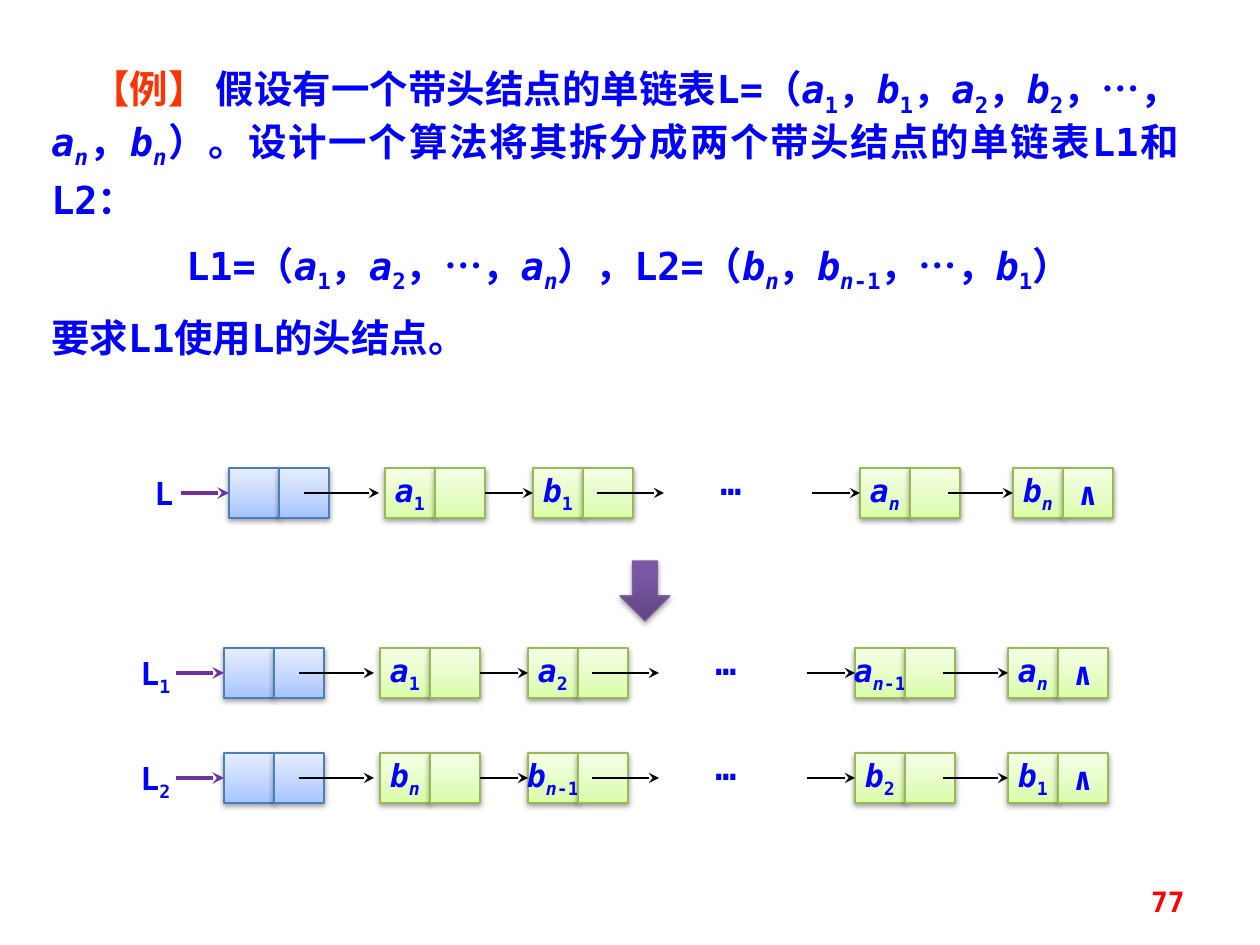
"""Build the slide on splitting a linked list L into L1 and L2."""
from itertools import groupby

from lxml import etree
from pptx import Presentation
from pptx import util as u
from pptx.dml.color import RGBColor
from pptx.enum import lang, shapes, text
from pptx.oxml.ns import nsdecls, qn
from pptx.oxml import parse_xml

EMU_PER_PX = 914400 / 126
BLUE = RGBColor(0x00, 0x00, 0xFF)
RED = RGBColor(0xFF, 0x00, 0x00)
ORANGE = RGBColor(0xFF, 0x33, 0x00)
BLACK = RGBColor(0x00, 0x00, 0x00)
PURPLE = RGBColor(0x70, 0x30, 0xA0)
HEAD_LINE = RGBColor(0x4B, 0x7E, 0xBC)
NODE_LINE = RGBColor(0x98, 0xB9, 0x55)
DOWN_LINE = RGBColor(0x7D, 0x60, 0xA0)
HEAD_STOPS = ((0, "A4C4FF"), (35, "BFD4FF"), (100, "E6EEFF"))
NODE_STOPS = ((0, "DAFDA7"), (35, "E4FCC2"), (100, "F5FFE7"))
DOWN_STOPS = ((0, "5F4480"), (80, "7B58A6"), (100, "7C57A8"))
CELL = 50
NODE_OFFSETS = (156, 304, 631, 784)


def px(length):
    return u.Emu(round(length * EMU_PER_PX))


class ListSlide:
    """Hold the slide and the style of its text, cells and arrows."""

    font_name = "DejaVu Sans Mono"

    def __init__(self, prs):
        self.slide = prs.slides.add_slide(prs.slide_layouts[6])
        self.shapes = self.slide.shapes

    def add_run(self, paragraph, words, size, color, italic=False, sub=False):
        run = paragraph.add_run()
        run.text = words
        font = run.font
        font.name, font.size, font.bold = self.font_name, u.Pt(size), True
        font.italic = italic
        font.color.rgb = color
        font.language_id = lang.MSO_LANGUAGE_ID.SIMPLIFIED_CHINESE
        if sub:
            run._r.get_or_add_rPr().set("baseline", "-25000")

    def add_marked(self, paragraph, marked, size, color=BLUE):
        """Add text in which |a1| marks a variable with its subscript."""
        for i, part in enumerate(marked.split("|")):
            if i % 2 == 0:
                if part:
                    self.add_run(paragraph, part, size, color)
                continue
            self.add_run(paragraph, part[0], size, color, part[0].islower())
            for italic, chars in groupby(part[1:], str.islower):
                self.add_run(paragraph, "".join(chars), size, color, italic, True)

    def box(self, x, y, w, h):
        frame = self.shapes.add_textbox(px(x), px(y), px(w), px(h)).text_frame
        frame.word_wrap = True
        return frame

    def label(self, x, y, w, h, marked, size):
        self.add_marked(self.box(x, y, w, h).paragraphs[0], marked, size)

    def block(self, kind, x, y, w, h, stops, line, alpha=38):
        shape = self.shapes.add_shape(kind, px(x), px(y), px(w), px(h))
        shape.line.color.rgb = line
        shape.line.width = u.Pt(0.75)
        shape.shadow.inherit = False
        marks = "".join(f'<a:gs pos="{pos * 1000}"><a:srgbClr val="{color}"/></a:gs>'
                        for pos, color in stops)
        properties = shape._element.spPr
        properties.find(qn("a:prstGeom")).addnext(parse_xml(
            f'<a:gradFill {nsdecls("a")}><a:gsLst>{marks}</a:gsLst>'
            '<a:lin ang="16200000" scaled="0"/></a:gradFill>'))
        properties.find(qn("a:effectLst")).append(parse_xml(
            f'<a:outerShdw {nsdecls("a")} blurRad="40000" dist="20000" dir="5400000" '
            f'rotWithShape="0"><a:srgbClr val="000000"><a:alpha val="{alpha * 1000}"/>'
            '</a:srgbClr></a:outerShdw>'))
        return shape

    def node(self, x, y, stops, line, *contents):
        cells = []
        for i, marked in enumerate(contents):
            cell = self.block(shapes.MSO_SHAPE.RECTANGLE, x + i * CELL, y,
                              CELL, CELL, stops, line)
            frame = cell.text_frame
            frame.word_wrap = False
            frame.vertical_anchor = text.MSO_ANCHOR.MIDDLE
            frame.paragraphs[0].alignment = text.PP_ALIGN.CENTER
            self.add_marked(frame.paragraphs[0], marked, 18)
            cells.append(cell)
        return cells

    def arrow(self, x1, x2, y, color=BLACK, width=0.75, start=None, end=None):
        link = self.shapes.add_connector(shapes.MSO_CONNECTOR.STRAIGHT,
                                         px(x1), px(y), px(x2), px(y))
        link.line.color.rgb = color
        link.line.width = u.Pt(width)
        etree.SubElement(link.line._get_or_add_ln(), qn("a:tailEnd"), type="stealth")
        etree.SubElement(link._element.spPr, qn("a:effectLst"))
        if start is not None:
            link.begin_connect(start, 3)
        if end is not None:
            link.end_connect(end, 1)

    def linked_list(self, x, y, name, name_x, contents):
        mid = y + CELL // 2
        head = self.node(x, y, HEAD_STOPS, HEAD_LINE, "", "")
        first, second, near_last, last = [
            self.node(x + offset, y, NODE_STOPS, NODE_LINE, marked,
                      "∧" if offset == NODE_OFFSETS[-1] else "")
            for offset, marked in zip(NODE_OFFSETS, contents)]
        self.label(name_x, y, 77, CELL, name, 18)
        self.label(x + 479, y - 14, 100, 63, "…", 20)
        self.arrow(x - 48, x, mid, PURPLE, 2.25, end=head[0])
        self.arrow(x + 75, x + 150, mid)
        self.arrow(x + 256, x + 304, mid, start=first[1], end=second[0])
        self.arrow(x + 368, x + 435, mid)
        self.arrow(x + 583, x + 631, mid, end=near_last[0])
        self.arrow(x + 719, x + 784, mid, end=last[0])

    def problem(self, x, y, w, h, paragraphs):
        frame = self.box(x, y, w, h)
        for i, (indent, lead, marked) in enumerate(paragraphs):
            paragraph = frame.paragraphs[0] if i == 0 else frame.add_paragraph()
            paragraph.alignment = text.PP_ALIGN.JUSTIFY
            paragraph._p.get_or_add_pPr().set("indent", str(px(indent)))
            if i == 0:
                paragraph.line_spacing = u.Pt(30)
            else:
                paragraph.space_before = u.Pt(11)
            if lead:
                self.add_run(paragraph, lead, 22, ORANGE)
            self.add_marked(paragraph, marked, 22)

    def page_number(self, x, y, w, h, number):
        frame = self.box(x, y, w, h)
        frame.vertical_anchor = text.MSO_ANCHOR.MIDDLE
        frame.paragraphs[0].alignment = text.PP_ALIGN.RIGHT
        self.add_marked(frame.paragraphs[0], number, 16, RED)


def main():
    prs = Presentation()
    prs.slide_width, prs.slide_height = px(1260), px(945)
    page = ListSlide(prs)
    page.problem(39, 59, 1152, 258, (
        (40, "【例】 ", "假设有一个带头结点的单链表L=（|a1|，|b1|，|a2|，|b2|，…，|an|，|bn|）。"
                      "设计一个算法将其拆分成两个带头结点的单链表L1和L2："),
        (135, "", "L1=（|a1|，|a2|，…，|an|），L2=（|bn|，|bn-1|，…，|b1|）"),
        (0, "", "要求L1使用L的头结点。")))
    page.linked_list(229, 468, "L", 142, ("|a1|", "|b1|", "|an|", "|bn|"))
    page.block(shapes.MSO_SHAPE.DOWN_ARROW, 620, 561, 50, 60,
               DOWN_STOPS, DOWN_LINE, 35)
    page.linked_list(224, 648, "|L1|", 128, ("|a1|", "|a2|", "|an-1|", "|an|"))
    page.linked_list(224, 753, "|L2|", 128, ("|bn|", "|bn-1|", "|b2|", "|b1|"))
    page.page_number(903, 876, 294, 50, "77")
    prs.save("out.pptx")


if __name__ == "__main__":
    main()
